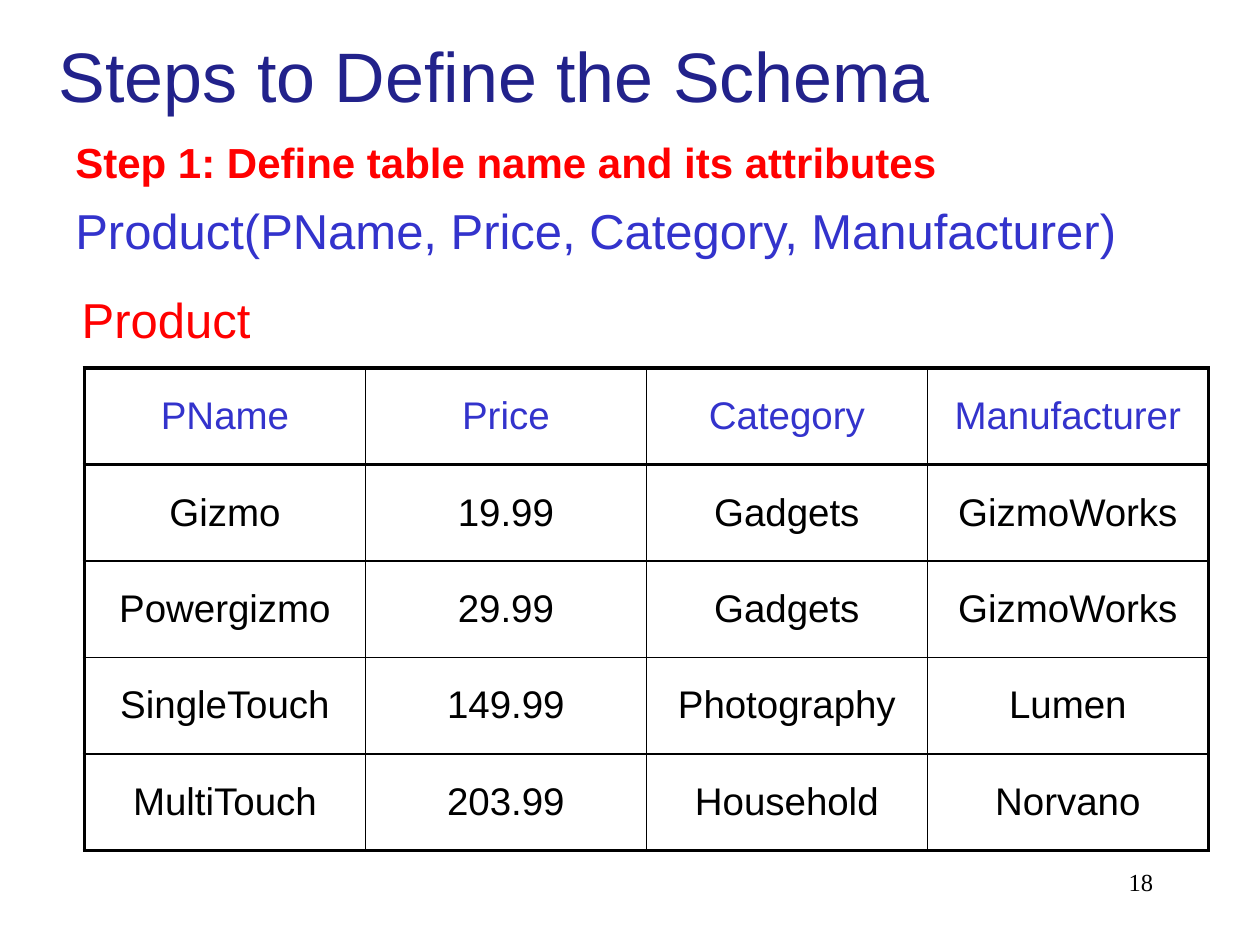
from lxml.etree import SubElement
from pptx import Presentation
from pptx.dml.color import RGBColor
from pptx.enum.text import MSO_ANCHOR, PP_ALIGN
from pptx.oxml.ns import qn
from pptx.util import Inches, Pt

COLORS = {"title": "22228B", "step": "FF0000", "schema": "3333CC", "ink": "000000"}

FORMATS = {
    "title": {"size": Pt(40), "name": "Arial", "bold": False},
    "step": {"size": Pt(24), "name": "Arial", "bold": True},
    "schema": {"size": Pt(28), "name": "Arial", "bold": False},
    "cell": {"size": Pt(22), "name": "Arial", "bold": False},
    "number": {"size": Pt(14), "name": "Times New Roman", "bold": False},
}

PRODUCTS = [
    ("PName", "Price", "Category", "Manufacturer"),
    ("Gizmo", "19.99", "Gadgets", "GizmoWorks"),
    ("Powergizmo", "29.99", "Gadgets", "GizmoWorks"),
    ("SingleTouch", "149.99", "Photography", "Lumen"),
    ("MultiTouch", "203.99", "Household", "Norvano"),
]
THICK, THIN = Pt(2.25), Pt(1)


def write(paragraph, text, style, color, **layout):
    run = paragraph.add_run()
    run.text = text
    for key, value in FORMATS[style].items():
        setattr(run.font, key, value)
    run.font.color.rgb = RGBColor.from_string(COLORS[color])
    for key, value in layout.items():
        setattr(paragraph, key, value)


def add_frame(slide, box, anchor=MSO_ANCHOR.TOP):
    frame = slide.shapes.add_textbox(*map(Inches, box)).text_frame
    frame.word_wrap = True
    frame.vertical_anchor = anchor
    return frame


def add_line(slide, box, text, style, color, anchor=MSO_ANCHOR.TOP, **layout):
    frame = add_frame(slide, box, anchor)
    write(frame.paragraphs[0], text, style, color, **layout)


def add_step(slide, box):
    frame = add_frame(slide, box)
    write(frame.paragraphs[0], "Step 1: Define table name and its attributes",
          "step", "step", line_spacing=0.9)
    write(frame.add_paragraph(), "Product(PName, Price, Category, Manufacturer)",
          "schema", "schema", line_spacing=0.9, space_before=Pt(11.4))


def set_borders(cell, widths):
    properties = cell._tc.get_or_add_tcPr()
    for position, (side, width) in enumerate(widths.items()):
        line = SubElement(properties, qn(f"a:ln{side}"), w=str(int(width)))
        fill = SubElement(line, qn("a:solidFill"))
        SubElement(fill, qn("a:srgbClr"), val=COLORS["ink"])
        # Border lines come before the cell fill
        properties.insert(position, line)


def add_product_table(slide, box):
    row_count, column_count = len(PRODUCTS), len(PRODUCTS[0])
    table = slide.shapes.add_table(row_count, column_count, *map(Inches, box)).table
    table.first_row = table.horz_banding = False
    for r, product in enumerate(PRODUCTS):
        for c, value in enumerate(product):
            cell = table.cell(r, c)
            cell.fill.background()
            cell.vertical_anchor = MSO_ANCHOR.MIDDLE
            write(cell.text_frame.paragraphs[0], value, "cell",
                  "schema" if r == 0 else "ink", alignment=PP_ALIGN.CENTER)
            # Thick outer frame and thick rule under the header
            set_borders(cell, {
                "L": THICK if c == 0 else THIN,
                "R": THICK if c == column_count - 1 else THIN,
                "T": THICK if r <= 1 else THIN,
                "B": THICK if r in (0, row_count - 1) else THIN,
            })


def main():
    presentation = Presentation()
    presentation.slide_width, presentation.slide_height = Inches(10), Inches(7.5)
    slide = presentation.slides.add_slide(presentation.slide_layouts[6])

    # Heading
    add_line(slide, (0.37, -0.03, 9.13, 1.25), "Steps to Define the Schema",
             "title", "title", MSO_ANCHOR.MIDDLE)
    # Relation and its rows
    add_product_table(slide, (0.67, 2.92, 8.92, 3.83))
    add_line(slide, (0.55, 2.25, 2.12, 0.57), "Product", "schema", "step")
    add_step(slide, (0.5, 1.08, 9.13, 1.06))
    # Slide number
    add_line(slide, (7.17, 6.83, 2.08, 0.5), "18", "number", "ink",
             alignment=PP_ALIGN.RIGHT)

    presentation.save("out.pptx")


if __name__ == "__main__":
    main()
